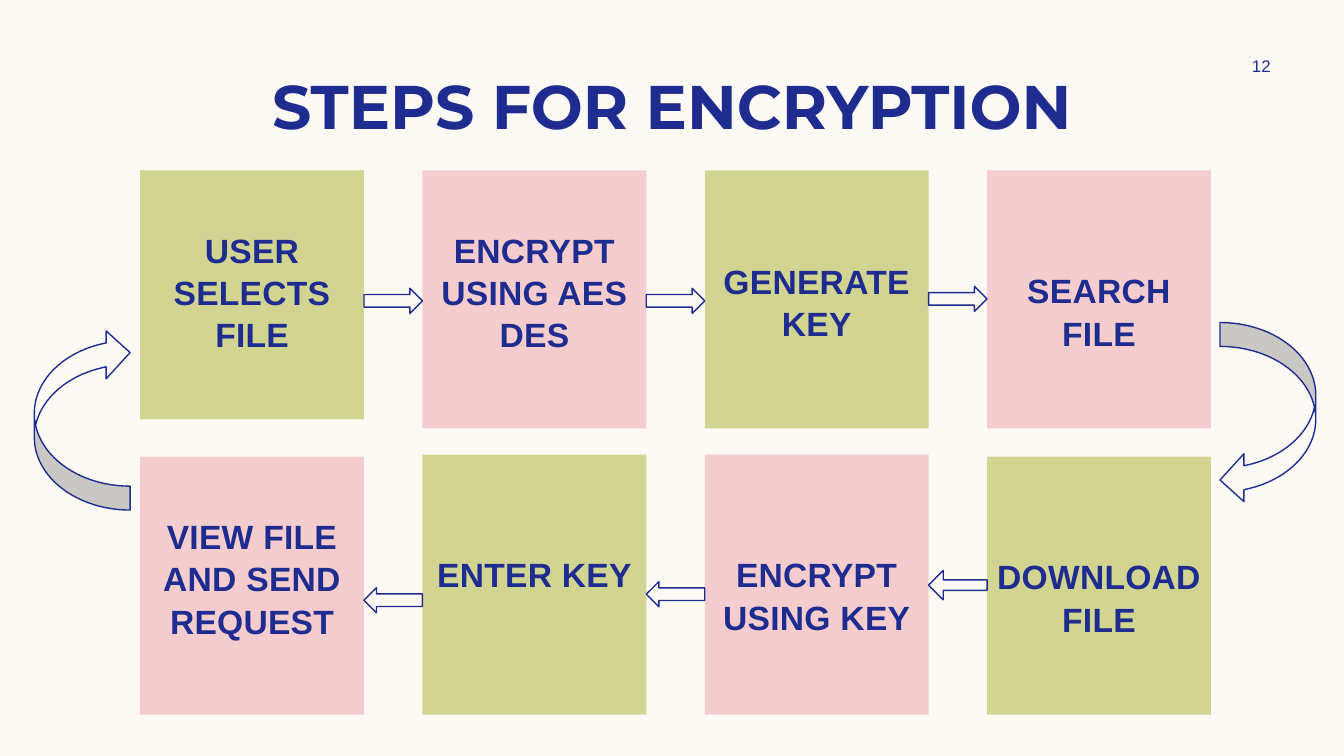
from dataclasses import dataclass

import pptx
import pptx.dml.color
import pptx.enum.shapes
import pptx.enum.text
import pptx.util

Inches = pptx.util.Inches
Pt = pptx.util.Pt
Kind = pptx.enum.shapes.MSO_SHAPE
Anchor = pptx.enum.text.MSO_ANCHOR
Align = pptx.enum.text.PP_ALIGN

NAVY, CREAM, GREEN, PINK = "1F2C8F", "FDFAF6", "D2D592", "F5CDCE"
LEFT, WIDTH, PITCH = 1.39, 2.22, 2.8


@dataclass
class Step:
    text: str
    col: int
    top: float
    height: float
    fill: str
    inset: float


@dataclass
class Arrow:
    kind: Kind
    left: float
    top: float
    width: float
    height: float
    turn: float = 0


def color(code: str) -> pptx.dml.color.RGBColor:
    return pptx.dml.color.RGBColor.from_string(code)


def write(frame, text: str, size: float, font: str, bold: bool,
          anchor: Anchor, inset: float) -> None:
    """Fill a text frame with one centred paragraph."""
    frame.text = text
    frame.word_wrap = True
    frame.auto_size = pptx.enum.text.MSO_AUTO_SIZE.NONE
    frame.vertical_anchor = anchor
    frame.margin_left = frame.margin_right = 0
    frame.margin_top, frame.margin_bottom = Inches(inset), Inches(0)
    line = frame.paragraphs[0]
    line.alignment = Align.CENTER
    face = line.runs[0].font
    face.size, face.name, face.bold = Pt(size), font, bold
    face.color.rgb = color(NAVY)


def add(slide, kind: Kind, left: float, top: float, width: float,
        height: float, fill: str):
    shape = slide.shapes.add_shape(
        kind, Inches(left), Inches(top), Inches(width), Inches(height))
    shape.shadow.inherit = False
    shape.fill.solid()
    shape.fill.fore_color.rgb = color(fill)
    return shape


def draw_step(slide, step: Step) -> None:
    box = add(slide, Kind.RECTANGLE, LEFT + step.col * PITCH, step.top,
              WIDTH, step.height, step.fill)
    box.line.fill.background()
    write(box.text_frame, step.text, 24, "Arial", True, Anchor.TOP, step.inset)
    line = box.text_frame.paragraphs[0]
    line.line_spacing = 1.05
    line.runs[0].font._element.set("spc", "20")


def draw_arrow(slide, arrow: Arrow):
    shape = add(slide, arrow.kind, arrow.left, arrow.top, arrow.width,
                arrow.height, CREAM)
    shape.line.color.rgb = color(NAVY)
    shape.line.width = Pt(1)
    shape.rotation = arrow.turn
    return shape


def link(kind: Kind, gap: int, top: float, height: float = 0.25) -> Arrow:
    """Arrow that fills the gap after the given column."""
    return Arrow(kind, LEFT + gap * PITCH + WIDTH, top, PITCH - WIDTH, height)


STEPS = [
    Step("USER SELECTS FILE", 0, 1.69, 2.47, GREEN, 0.57),
    Step("ENCRYPT USING AES DES", 1, 1.69, 2.56, PINK, 0.57),
    Step("GENERATE KEY", 2, 1.69, 2.56, GREEN, 0.88),
    Step("SEARCH FILE", 3, 1.69, 2.56, PINK, 0.97),
    Step("DOWNLOAD FILE", 3, 4.53, 2.56, GREEN, 0.97),
    Step("ENCRYPT USING KEY", 2, 4.51, 2.58, PINK, 0.97),
    Step("ENTER KEY", 1, 4.51, 2.58, GREEN, 0.97),
    Step("VIEW FILE AND SEND REQUEST", 0, 4.53, 2.56, PINK, 0.57),
]
ARROWS = [
    link(Kind.RIGHT_ARROW, 0, 2.86),
    link(Kind.RIGHT_ARROW, 1, 2.86),
    link(Kind.RIGHT_ARROW, 2, 2.84),
    Arrow(Kind.CURVED_LEFT_ARROW, 12.1, 3.2, 0.95, 1.8),
    link(Kind.LEFT_ARROW, 1, 5.77),
    link(Kind.LEFT_ARROW, 0, 5.83),
    Arrow(Kind.CURVED_LEFT_ARROW, 0.34, 3.26, 0.95, 1.8, 180),
]
THIN = link(Kind.LEFT_ARROW, 2, 5.66, 0.29)


def main() -> None:
    deck = pptx.Presentation()
    deck.slide_width, deck.slide_height = Inches(13.33), Inches(7.5)
    slide = deck.slides.add_slide(deck.slide_layouts[5])
    slide.background.fill.solid()
    slide.background.fill.fore_color.rgb = color(CREAM)

    # Title and page number
    title = slide.shapes.title
    title.left, title.top = Inches(0.83), Inches(0.59)
    title.width, title.height = Inches(11.67), Inches(0.84)
    write(title.text_frame, "STEPS FOR ENCRYPTION", 44, "Montserrat", True,
          Anchor.TOP, 0.08)
    page = slide.shapes.add_textbox(
        Inches(11.97), Inches(0.5), Inches(1.08), Inches(0.3))
    write(page.text_frame, "12", 12, "Arial", False, Anchor.MIDDLE, 0)

    # Steps, clockwise from top left
    for step in STEPS:
        draw_step(slide, step)

    # Arrows between steps
    for arrow in ARROWS:
        draw_arrow(slide, arrow)
    draw_arrow(slide, THIN).adjustments[0] = 0.36

    deck.save("out.pptx")


if __name__ == "__main__":
    main()
